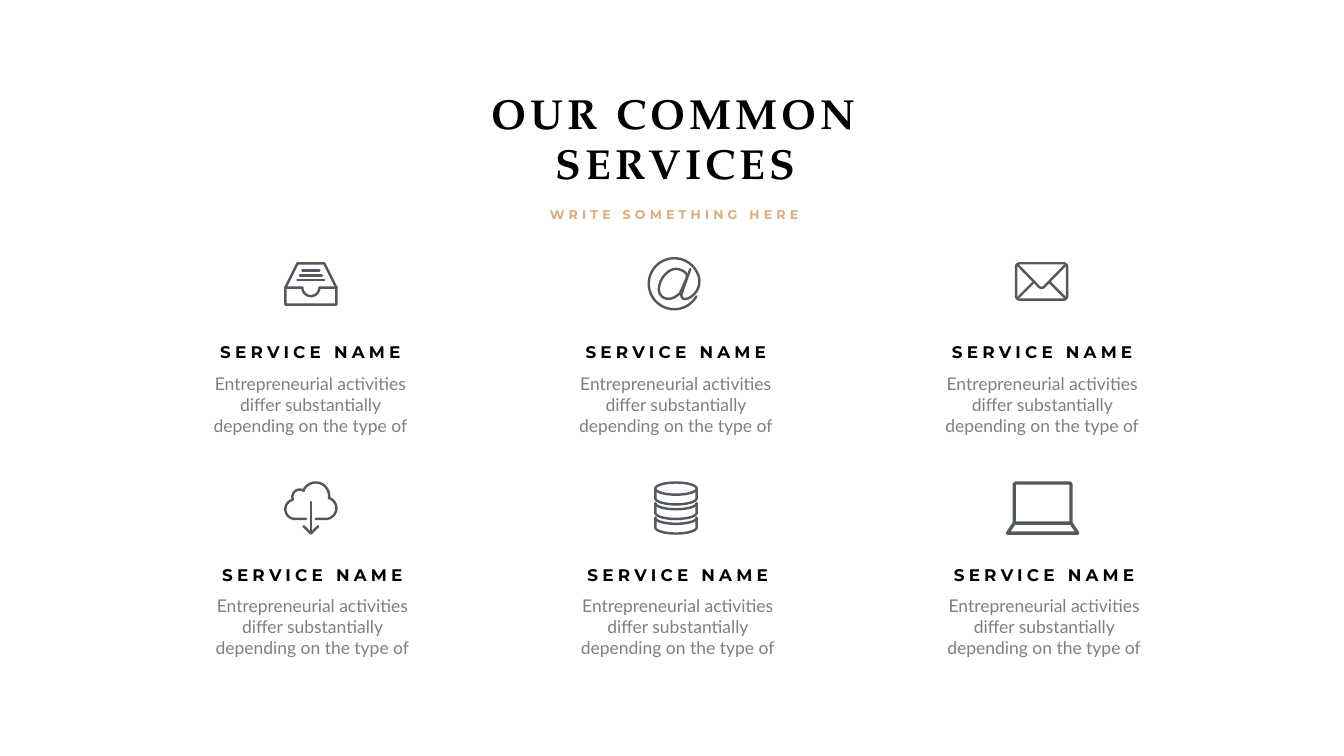
import math

import pptx
import pptx.dml.color
import pptx.enum.text
import pptx.oxml.ns
import pptx.util

Pt = pptx.util.Pt
RGB = pptx.dml.color.RGBColor
Fit = pptx.enum.text.MSO_AUTO_SIZE

BLACK = RGB(0, 0, 0)
GOLD = RGB(0xD6, 0xAE, 0x7E)
GRAY = RGB(0x7F, 0x7F, 0x7F)
SLATE = RGB(0x53, 0x58, 0x5F)
SERIF, SANS, PLAIN = "TeX Gyre Pagella", "Montserrat", "Lato"
UNIT = 3.47  # grid step of an icon, also its line width


def arc(x, y, rx, ry, start, end):
    """Points on an ellipse; angles in degrees, clockwise from the right."""
    steps = max(8, round(abs(end - start) / 6))
    turns = [math.radians(start + (end - start) * i / steps)
             for i in range(steps + 1)]
    return [(x + rx * math.cos(t), y + ry * math.sin(t)) for t in turns]


def smooth(knots):
    """Points on a Catmull-Rom curve through the knots."""
    ends = [knots[0], *knots, knots[-1]]
    if knots[0] == knots[-1]:
        ends = [knots[-2], *knots, knots[1]]
    points = []
    for a, b, c, d in zip(ends, ends[1:], ends[2:], ends[3:]):
        for i in range(6):
            t = i / 6
            points.append(tuple(
                q + t / 2 * (r - p + t * (2 * p - 5 * q + 4 * r - s
                                          + t * (3 * (q - r) + s - p)))
                for p, q, r, s in zip(a, b, c, d)))
    return points + [knots[-1]]


def panel(x, y, right, low, r):
    """Closed outline of a rectangle with round corners."""
    points = (arc(x + r, y + r, r, r, 180, 270)
              + arc(right - r, y + r, r, r, 270, 360)
              + arc(right - r, low - r, r, r, 0, 90)
              + arc(x + r, low - r, r, r, 90, 180))
    return points + points[:1]


def tray():
    lines = [[(11 - w, y), (11 + w, y)]
             for w, y in ((3.5, 3.5), (4.5, 5.5), (5.5, 7.5))]
    rim = [(0.5, 10.5), *arc(11, 10.5, 3.5, 3.5, 180, 0), (21.5, 10.5)]
    box = [(0.5, 10.5), (5.5, 0.5), (16.5, 0.5), (21.5, 10.5),
           (21.5, 17.5), (0.5, 17.5), (0.5, 10.5)]
    return [box, rim, *lines]


def at_sign():
    ring = arc(11, 11, 10.5, 10.5, 30, 350)
    tail = smooth([ring[-1], (21.1, 12), (19.7, 14.7), (17.5, 16.6),
                   (15.2, 17.3), (14, 16.2), (14.4, 14), (17.6, 5)])
    bowl = smooth([(16.2, 8), (15, 6), (12, 4.9), (9, 5.7), (6.2, 8.5),
                   (4.8, 12), (5, 15), (7, 16.9), (10, 17),
                   (13, 15.2), (14.3, 12.8), (16.2, 8)])
    return [ring + tail[1:], bowl]


def letter():
    flap = [(1, 1), *arc(11, 9, 1.6, 1.6, 135, 45), (21, 1)]
    return [panel(0.5, 0.5, 21.5, 15.5, 1.5), flap,
            [(1, 15), (7.6, 8.4)], [(21, 15), (14.4, 8.4)]]


def cloud():
    edge = [(9, 15.5), *arc(4.5, 11.5, 4, 4, 90, 253),
            *arc(6.4, 6.4, 3, 3, 160, 305),
            *arc(13, 6, 5.5, 5.5, 203, 370),
            *arc(17.1, 11.1, 4.4, 4.4, -71, 90), (13, 15.5)]
    return [edge, [(11, 8.5), (11, 21.5)],
            [(8, 18.5), (11, 21.5), (14, 18.5)]]


def disks():
    strokes = [arc(9, 3, 8.5, 2.5, 0, 360)]
    for top in (3, 9, 15):
        strokes.append([(0.5, top), *arc(9, top + 4, 8.5, 2.5, 180, 0),
                        (17.5, top)])
        if top > 3:
            strokes.append(arc(9, top, 8.5, 2.5, 180, 0))
    return strokes


def laptop():
    base = [(2.5, 12.5), (0.5, 15.5), (21.5, 15.5), (19.5, 12.5)]
    return [panel(2.5, 0.5, 19.5, 12.5, 0.7), base]


class Deck:
    def __init__(self, wide, high):
        self.file = pptx.Presentation()
        self.file.slide_width, self.file.slide_height = Pt(wide), Pt(high)
        self.slide = self.file.slides.add_slide(self.file.slide_layouts[5])

    def style(self, shape, words, font, size, color,
              gap=0, wrap=True, lead=None):
        frame = shape.text_frame
        frame.text = words
        frame.word_wrap = wrap
        frame.auto_size = Fit.SHAPE_TO_FIT_TEXT
        frame.vertical_anchor = pptx.enum.text.MSO_ANCHOR.TOP
        para = frame.paragraphs[0]
        para.alignment = pptx.enum.text.PP_ALIGN.CENTER
        if lead:
            para.line_spacing = lead
        para.font.name, para.font.size = font, Pt(size)
        para.font.bold = gap > 0
        para.font.color.rgb = color
        if gap:
            props = para._p.pPr.find(pptx.oxml.ns.qn("a:defRPr"))
            props.set("spc", str(gap * 100))

    def title(self, words, x, y, w, h):
        shape = self.slide.shapes.title
        shape.left, shape.top, shape.width, shape.height = map(Pt, (x, y, w, h))
        self.style(shape, words, SERIF, 60, BLACK, gap=6)

    def text(self, words, x, y, w, h, *look, **more):
        shape = self.slide.shapes.add_textbox(*map(Pt, (x, y, w, h)))
        self.style(shape, words, *look, **more)

    def icon(self, strokes, x, y, unit=UNIT):
        """Draw strokes, given in grid units, from the corner x, y."""
        paths = [[(Pt(x + unit * a), Pt(y + unit * b)) for a, b in stroke]
                 for stroke in strokes]
        pen = self.slide.shapes.build_freeform(*paths[0][0])
        for i, path in enumerate(paths):
            if i:
                pen.move_to(*path[0])
            pen.add_line_segments(path[1:], close=False)
        shape = pen.convert_to_shape()
        shape.shadow.inherit = False
        shape.fill.background()
        shape.line.color.rgb = SLATE
        shape.line.width = Pt(unit)
        line = shape._element.spPr.find(pptx.oxml.ns.qn("a:ln"))
        line.set("cap", "rnd")

    def service(self, mid, top):
        self.text("SERVICE NAME", mid - 138.5, top, 277, 36,
                  SANS, 24, BLACK, gap=6, wrap=False)
        self.text("Entrepreneurial activities differ substantially "
                  "depending on the type of",
                  mid - 159, top + 44, 318, 98, PLAIN, 25, GRAY)


def main():
    deck = Deck(1920.24, 1080)
    deck.title("OUR COMMON SERVICES", 548.6, 121, 833.8, 80)
    deck.text("WRITE SOMETHING HERE", 741.6, 280.8, 443.5, 36.7,
              SANS, 18, GOLD, gap=6, lead=1.5)

    deck.icon(tray(), 406, 374.4)
    deck.icon(at_sign(), 925.2, 367.2)
    deck.icon(letter(), 1450, 374.4)
    deck.icon(cloud(), 406, 687.6)
    deck.icon(disks(), 934.6, 687.6)
    deck.icon(laptop(), 1437.1, 687.6, unit=4.78)

    for top, shift in ((485.3, 0), (802.8, 2.8)):
        for mid in (443.5, 965.5, 1489):
            deck.service(mid + shift, top)
    deck.file.save("out.pptx")


if __name__ == "__main__":
    main()
